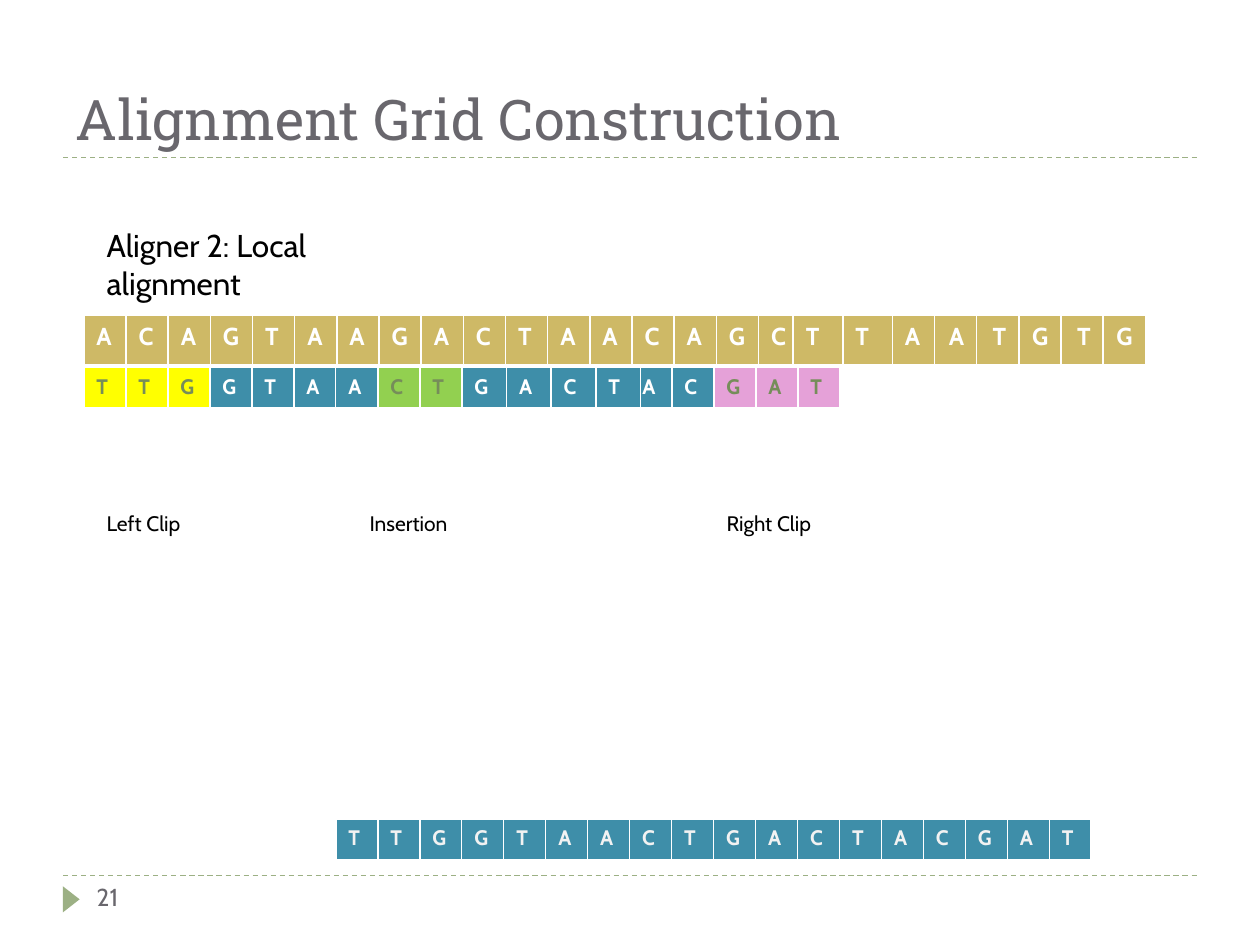
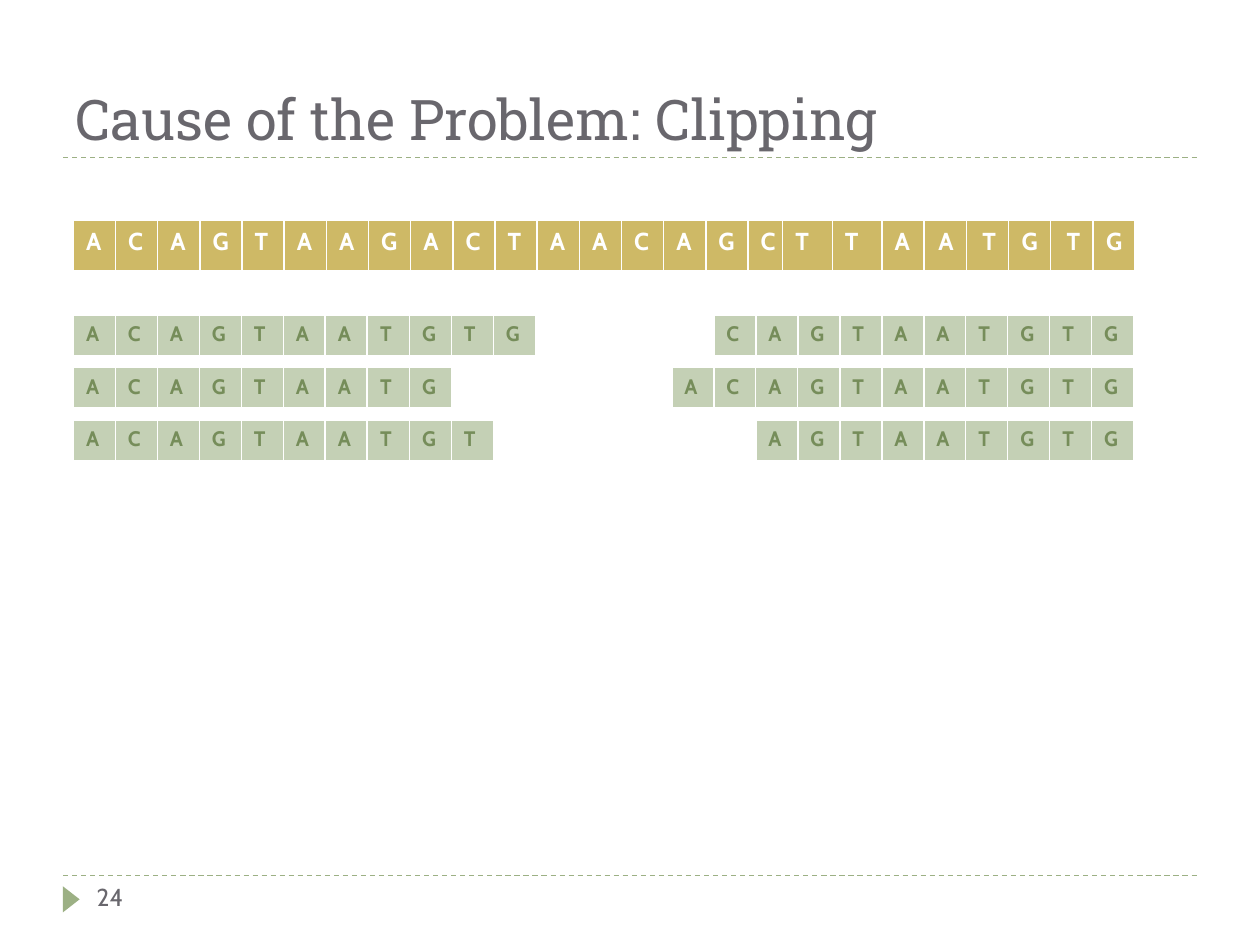
import dataclasses

import pptx
import pptx.dml.color
import pptx.enum.dml
import pptx.enum.shapes
import pptx.enum.text
import pptx.oxml
import pptx.oxml.ns
import pptx.util

Cm = pptx.util.Cm
Pt = pptx.util.Pt
ALIGN = pptx.enum.text.PP_ALIGN
ANCHOR = pptx.enum.text.MSO_ANCHOR


@dataclasses.dataclass(frozen=True)
class Theme:
    title_font: str = "Roboto Slab"
    body_font: str = "Cabin"
    title_size: int = 32
    heading_size: int = 18
    reference_size: int = 14
    number_size: int = 14
    read_size: int = 12
    label_size: int = 12
    heading: str = "69676D"
    text: str = "000000"
    white: str = "FFFFFF"
    pale: str = "F2F2F2"
    accent: str = "9CB084"
    olive: str = "768D5A"
    reference: str = "CEB966"
    matched: str = "3E8EA9"
    left_clip: str = "FFFF00"
    insertion: str = "92D050"
    right_clip: str = "E5A1D8"
    read: str = "C4D0B5"


THEME = Theme()

# Lengths in centimetres
CELL = 2.54 / 3
REFERENCE_CELL = 0.85
REFERENCE_HEIGHT = 1.04
WIDE_CELL = 0.9
REFERENCE = "ACAGTAAGACTAACAGCTTAATGTG"
REFERENCE_WIDTHS = [REFERENCE_CELL] * 16 + [0.7, 1, 1] + [REFERENCE_CELL] * 6
REFERENCE_RIGHT_ALIGNED = 5


def rgb(color):
    return pptx.dml.color.RGBColor.from_string(color)


def write(tf, text, *, size, color, font=THEME.body_font, bold=False,
          align=ALIGN.LEFT):
    p = tf.paragraphs[0]
    p.alignment = align
    r = p.add_run()
    r.text = text
    r.font.name = font
    r.font.size = Pt(size)
    r.font.bold = bold
    r.font.color.rgb = rgb(color)


def add_text(s, text, x, y, width, height, *, anchor=ANCHOR.TOP, **fmt):
    tf = s.shapes.add_textbox(Cm(x), Cm(y), Cm(width), Cm(height)).text_frame
    tf.word_wrap = True
    tf.vertical_anchor = anchor
    write(tf, text, **fmt)


def add_rule(s, y):
    """Draw a dashed line across the slide."""
    line = s.shapes.add_connector(
        pptx.enum.shapes.MSO_CONNECTOR.STRAIGHT,
        Cm(1.27), Cm(y), Cm(24.13), Cm(y))
    line.line.color.rgb = rgb(THEME.accent)
    line.line.width = Pt(0.75)
    line.line.dash_style = pptx.enum.dml.MSO_LINE.DASH
    sp_pr = line._element.spPr
    sp_pr.append(sp_pr.makeelement(pptx.oxml.ns.qn("a:effectLst"), {}))


def add_page_marker(s):
    sp = s.shapes.add_shape(
        pptx.enum.shapes.MSO_SHAPE.ISOSCELES_TRIANGLE,
        Cm(1.17), Cm(17.96), Cm(0.53), Cm(0.34))
    sp.rotation = 90
    sp.shadow.inherit = False
    sp.fill.solid()
    sp.fill.fore_color.rgb = rgb(THEME.accent)
    sp.line.fill.background()


def set_borders(cell):
    tc_pr = cell._tc.get_or_add_tcPr()
    for i, (side, width) in enumerate([("L", 1), ("R", 1), ("T", 1), ("B", 3)]):
        tc_pr.insert(i, pptx.oxml.parse_xml(
            f'<a:ln{side} {pptx.oxml.ns.nsdecls("a")} w="{Pt(width)}">'
            f'<a:solidFill><a:srgbClr val="{THEME.white}"/></a:solidFill>'
            f'</a:ln{side}>'))


def add_sequence(s, bases, x, y, *, fill, color, widths=None, height=CELL,
                 size=THEME.read_size, right_aligned=0):
    """Add a one-row table with one base per cell; the last ones may align right."""
    widths = widths or [CELL] * len(bases)
    table = s.shapes.add_table(1, len(bases), Cm(x), Cm(y),
                               Cm(sum(widths)), Cm(height)).table
    table.first_row = False
    table.horz_banding = False
    for i, (base, width) in enumerate(zip(bases, widths)):
        table.columns[i].width = Cm(width)
        cell = table.cell(0, i)
        cell.fill.solid()
        cell.fill.fore_color.rgb = rgb(fill)
        set_borders(cell)
        at_right = i >= len(bases) - right_aligned
        write(cell.text_frame, base, size=size, color=color, bold=True,
              align=ALIGN.RIGHT if at_right else ALIGN.LEFT)


def add_reference(s, x, y):
    add_sequence(s, REFERENCE, x, y, fill=THEME.reference, color=THEME.white,
                 widths=REFERENCE_WIDTHS, height=REFERENCE_HEIGHT,
                 size=THEME.reference_size,
                 right_aligned=REFERENCE_RIGHT_ALIGNED)


def add_slide(prs, title, number):
    s = prs.slides.add_slide(prs.slide_layouts[6])
    for y in (17.65, 3.17):
        add_rule(s, y)
    add_page_marker(s)
    add_text(s, title, 1.27, 0.44, 22.86, 2.74, anchor=ANCHOR.BOTTOM,
             font=THEME.title_font, size=THEME.title_size, color=THEME.heading)
    add_text(s, str(number), 1.7, 17.65, 5.5, 1.02,
             size=THEME.number_size, color=THEME.heading)
    return s


def build_grid_slide(prs):
    s = add_slide(prs, "Alignment Grid Construction", 21)
    left, read_top = 1.69, 7.41
    add_reference(s, left, 6.35)

    # First column, bases, fill, text colour, cell width. The wide run comes
    # last because it covers the start of its neighbour.
    segments = [
        (0, "TTG", THEME.left_clip, THEME.olive, CELL),
        (3, "GTAA", THEME.matched, THEME.white, CELL),
        (7, "CT", THEME.insertion, THEME.olive, CELL),
        (13, "AC", THEME.matched, THEME.white, CELL),
        (15, "GAT", THEME.right_clip, THEME.olive, CELL),
        (9, "GACT", THEME.matched, THEME.white, WIDE_CELL),
    ]
    for column, bases, fill, color, width in segments:
        add_sequence(s, bases, left + column * CELL, read_top, fill=fill,
                     color=color, widths=[width] * len(bases))
    add_sequence(s, "TTGGTAACTGACTACGAT", left + 6 * CELL, 16.51,
                 fill=THEME.matched, color=THEME.pale)

    for label, x in [("Left Clip", 1.9), ("Insertion", 7.2),
                     ("Right Clip", 14.4)]:
        add_text(s, label, x, 10.16, 2.5, 0.77,
                 size=THEME.label_size, color=THEME.text)
    add_text(s, "Aligner 2: Local alignment", 1.9, 4.44, 7.13, 1.03,
             size=THEME.heading_size, color=THEME.text)


def build_clipping_slide(prs):
    s = add_slide(prs, "Cause of the Problem: Clipping", 24)
    left, right_repeat = 1.48, 16.93
    left_bases, right_bases = "ACAGTAA", "TAATGTG"
    style = {"fill": THEME.read, "color": THEME.olive}
    add_reference(s, left, 4.44)

    # Ends that extend the left reads, and starts that extend the right reads
    extensions = [("TGTG", "CAG"), ("TG", "ACAG"), ("TGT", "AG")]
    for i, (end, start) in enumerate(extensions):
        y = 6.35 + i * 1.06
        add_sequence(s, left_bases, left, y, **style)
        add_sequence(s, end, left + len(left_bases) * CELL, y, **style)
        add_sequence(s, start, right_repeat - len(start) * CELL, y, **style)
        add_sequence(s, right_bases, right_repeat, y, **style)


def main():
    prs = pptx.Presentation()
    prs.slide_width = Cm(25.4)
    prs.slide_height = Cm(19.05)
    build_grid_slide(prs)
    build_clipping_slide(prs)
    prs.save("out.pptx")


if __name__ == "__main__":
    main()
